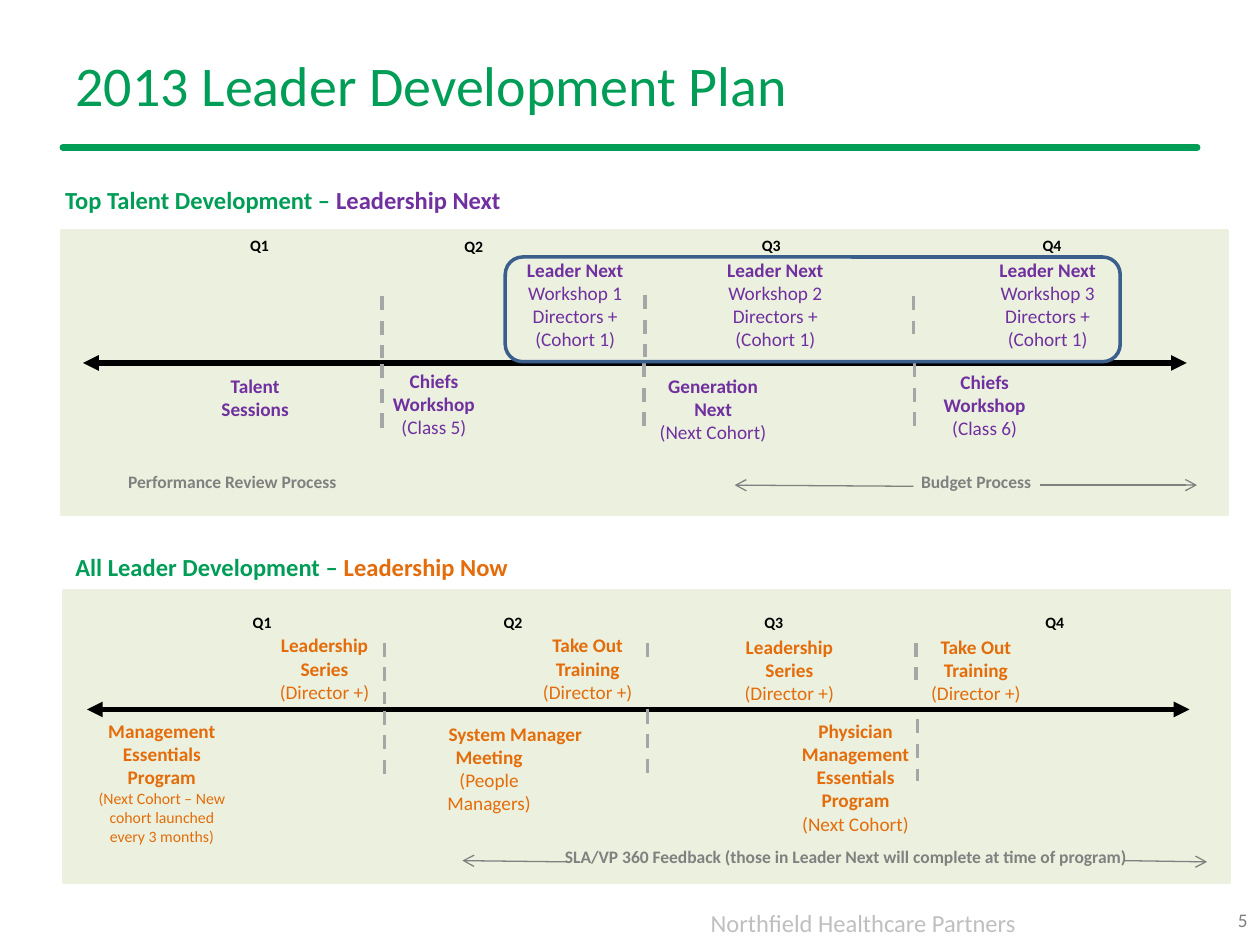
from dataclasses import dataclass
from lxml.etree import SubElement
from pptx import Presentation
from pptx.dml.color import RGBColor
from pptx.enum.dml import MSO_LINE
from pptx.enum.shapes import MSO_CONNECTOR, MSO_SHAPE
from pptx.enum.text import MSO_ANCHOR, PP_ALIGN
from pptx.oxml.ns import qn
from pptx.util import Pt


@dataclass(frozen=True)
class Theme:
    font: str = "Calibri"
    green: str = "009D57"
    purple: str = "7030A0"
    orange: str = "E46C0A"
    grey: str = "808080"
    footer: str = "BFBFBF"
    dash: str = "A6A6A6"
    panel: str = "EBF1DE"
    frame: str = "3A5F8C"
    black: str = "000000"
    title_size: int = 32
    heading_size: int = 14
    label_size: int = 11
    process_size: int = 10
    small_size: int = 9


theme = Theme()
LEFT, CENTER, RIGHT = PP_ALIGN.LEFT, PP_ALIGN.CENTER, PP_ALIGN.RIGHT

HEADINGS = [
    (30.2, 90, "Top Talent Development – ", "Leadership Next", theme.purple),
    (36, 299.5, "All Leader Development – ", "Leadership Now", theme.orange),
]
PANELS = [(35.3, 131.8, 666, 162), (36.7, 337.7, 666, 166.3)]
AXES = [(47.5, 678.2, 207.4), (49.7, 679.7, 405.4)]
QUARTERS = [
    [(116.6, 131), (239, 131.8), (409, 131), (569.5, 131)],
    [(118.1, 346.3), (261.4, 346.3), (410.4, 346.3), (571, 346.3)],
]
DIVIDERS = [
    (218.2, 169.2, 204.5), (218.2, 208.1, 249.1),
    (368.6, 168.5, 203.8), (367.9, 207.4, 249.1),
    (522, 169.2, 190.8), (522.7, 207.4, 243.4),
    (219.6, 367.2, 402.5), (219.6, 406.1, 447.1),
    (370.1, 367.2, 375.8), (370.1, 405.4, 447.1),
    (523.4, 367.2, 388.8), (524.2, 411.1, 446.4),
]
WORKSHOP_LEFTS = [293.8, 408.2, 563.8]
TOP_TALENT = [
    ((108, 210.2, 75.6, 33.8), [("Talent Sessions", "")]),
    ((213.1, 207.4, 69.8, 47.5), [("Chiefs Workshop", ""), ("", "(Class 5)")]),
    ((368.6, 210.2, 77.8, 47.5), [("Generation Next", ""), ("", "(Next Cohort)")]),
    ((527.8, 208.1, 69.8, 47.5), [("Chiefs Workshop", ""), ("", "(Class 6)")]),
] + [
    ((left, 144, 69.8, 60.5), [("Leader Next", ""), ("", f"Workshop {number}"),
                               ("", "Directors +"), ("", "(Cohort 1)")])
    for number, left in enumerate(WORKSHOP_LEFTS, 1)
]
ALL_LEADERS = [
    ((149.8, 358.6, 71.3, 47.5), [("Leadership Series ", "(Director +)")]),
    ((300.2, 358.6, 71.3, 47.5), [("Take Out Training ", "(Director +)")]),
    ((414, 359.3, 74.2, 47.5), [("Leadership Series ", "(Director +)")]),
    ((522, 359.3, 71.3, 47.5), [("Take Out Training ", "(Director +)")]),
    ((450, 407.5, 77.8, 74.2), [("Physician Management", ""), ("Essentials Program", ""),
                                ("", "(Next Cohort)")]),
]
MANAGER_MEETING = ((243.4, 409, 102.2, 47.5),
                   [("System Manager", ""), ("Meeting", ""), ("", "(People Managers)")])
ESSENTIALS = ((48.2, 407.5, 88.6, 79.9),
              [("Management Essentials Program", ""),
               ("", "(Next Cohort – New cohort launched every 3 months)")])
PROCESSES = [
    ((66.2, 265.7, 134.6, 19.4), "Performance Review Process", LEFT),
    ((437.8, 265.7, 239.8, 19.4), "Budget Process", CENTER),
    ((264.2, 480.2, 437.8, 19.4),
     "SLA/VP 360 Feedback (those in Leader Next will complete at time of program)", CENTER),
]
PROCESS_ARROWS = [
    (594, 277.2, 684, 277.2), (522, 277.9, 419.8, 277.2),
    (324, 492.5, 264.2, 491.8), (642.2, 491.8, 689.8, 492.5),
]

presentation = Presentation()
presentation.slide_width, presentation.slide_height = Pt(720), Pt(540)
slide = presentation.slides.add_slide(presentation.slide_layouts[6])


def rgb(value):
    return RGBColor.from_string(value)


def add_text(box, paragraphs, size, align=CENTER, anchor=MSO_ANCHOR.TOP):
    shape = slide.shapes.add_textbox(*map(Pt, box))
    frame = shape.text_frame
    frame.word_wrap = True
    frame.vertical_anchor = anchor
    for index, runs in enumerate(paragraphs):
        paragraph = frame.paragraphs[0] if index == 0 else frame.add_paragraph()
        paragraph.alignment = align
        for text, bold, color in runs:
            run = paragraph.add_run()
            run.text = text
            run.font.name = theme.font
            run.font.size = Pt(size)
            run.font.bold = bold
            run.font.color.rgb = rgb(color)
    return frame


def add_label(box, paragraphs, color):
    runs = [[(text, bold, color) for text, bold in zip(pair, (True, False)) if text]
            for pair in paragraphs]
    return add_text(box, runs, theme.label_size)


def add_line(x1, y1, x2, y2, color, width, dashed=False, head=None, tail=None, cap=None):
    connector = slide.shapes.add_connector(MSO_CONNECTOR.STRAIGHT, *map(Pt, (x1, y1, x2, y2)))
    connector.line.color.rgb = rgb(color)
    connector.line.width = Pt(width)
    if dashed:
        connector.line.dash_style = MSO_LINE.DASH
    properties = connector._element.spPr
    outline = properties.find(qn("a:ln"))
    if cap:
        outline.set("cap", cap)
    for tag, kind in (("a:headEnd", head), ("a:tailEnd", tail)):
        if kind:
            SubElement(outline, qn(tag), type=kind)
    SubElement(properties, qn("a:effectLst"))


def add_box(kind, box, line, fill=None):
    shape = slide.shapes.add_shape(kind, *map(Pt, box))
    shape.shadow.inherit = False
    shape.line.color.rgb = rgb(line)
    shape.line.width = Pt(2)
    if fill:
        shape.fill.solid()
        shape.fill.fore_color.rgb = rgb(fill)
    else:
        shape.fill.background()


add_line(36, 84.2, 684, 84.2, theme.green, 4, cap="rnd")
add_text((36, 18, 648, 59.8), [[("2013 Leader Development Plan", False, theme.green)]],
         theme.title_size, LEFT, MSO_ANCHOR.MIDDLE)
add_text((77.8, 515.5, 509.8, 24.5), [[("Northfield Healthcare Partners", False, theme.footer)]],
         theme.heading_size, RIGHT)
add_text((689.8, 511.2, 30.2, 28.8), [[("5", False, theme.grey)]],
         theme.label_size, RIGHT, MSO_ANCHOR.MIDDLE)

for left, top, topic, program, color in HEADINGS:
    add_text((left, top, 648, 48.2), [[(topic, True, theme.green), (program, True, color)]],
             theme.heading_size, LEFT, MSO_ANCHOR.MIDDLE)

for panel, (start, end, level), quarters in zip(PANELS, AXES, QUARTERS):
    add_box(MSO_SHAPE.RECTANGLE, panel, theme.panel, theme.panel)
    add_line(start, level, end, level, theme.black, 3, head="triangle", tail="triangle")
    for number, (left, top) in enumerate(quarters, 1):
        add_text((left, top, 63.4, 18), [[(f"Q{number}", True, theme.black)]], theme.small_size)

for x, top, bottom in DIVIDERS:
    add_line(x, top, x, bottom, theme.dash, 2, dashed=True)

for labels, color in ((TOP_TALENT, theme.purple), (ALL_LEADERS, theme.orange)):
    for box, paragraphs in labels:
        add_label(box, paragraphs, color)

meeting = add_label(*MANAGER_MEETING, theme.orange)
meeting.paragraphs[1]._p.get_or_add_pPr().set("marR", str(Pt(30)))
essentials = add_label(*ESSENTIALS, theme.orange)
essentials.paragraphs[1].runs[0].font.size = Pt(theme.small_size)

for box, text, align in PROCESSES:
    add_text(box, [[(text, True, theme.grey)]], theme.process_size, align)
for ends in PROCESS_ARROWS:
    add_line(*ends, theme.grey, 0.75, tail="arrow")

add_box(MSO_SHAPE.ROUNDED_RECTANGLE, (288.7, 146.9, 351.4, 59.8), theme.frame)

presentation.save("out.pptx")
